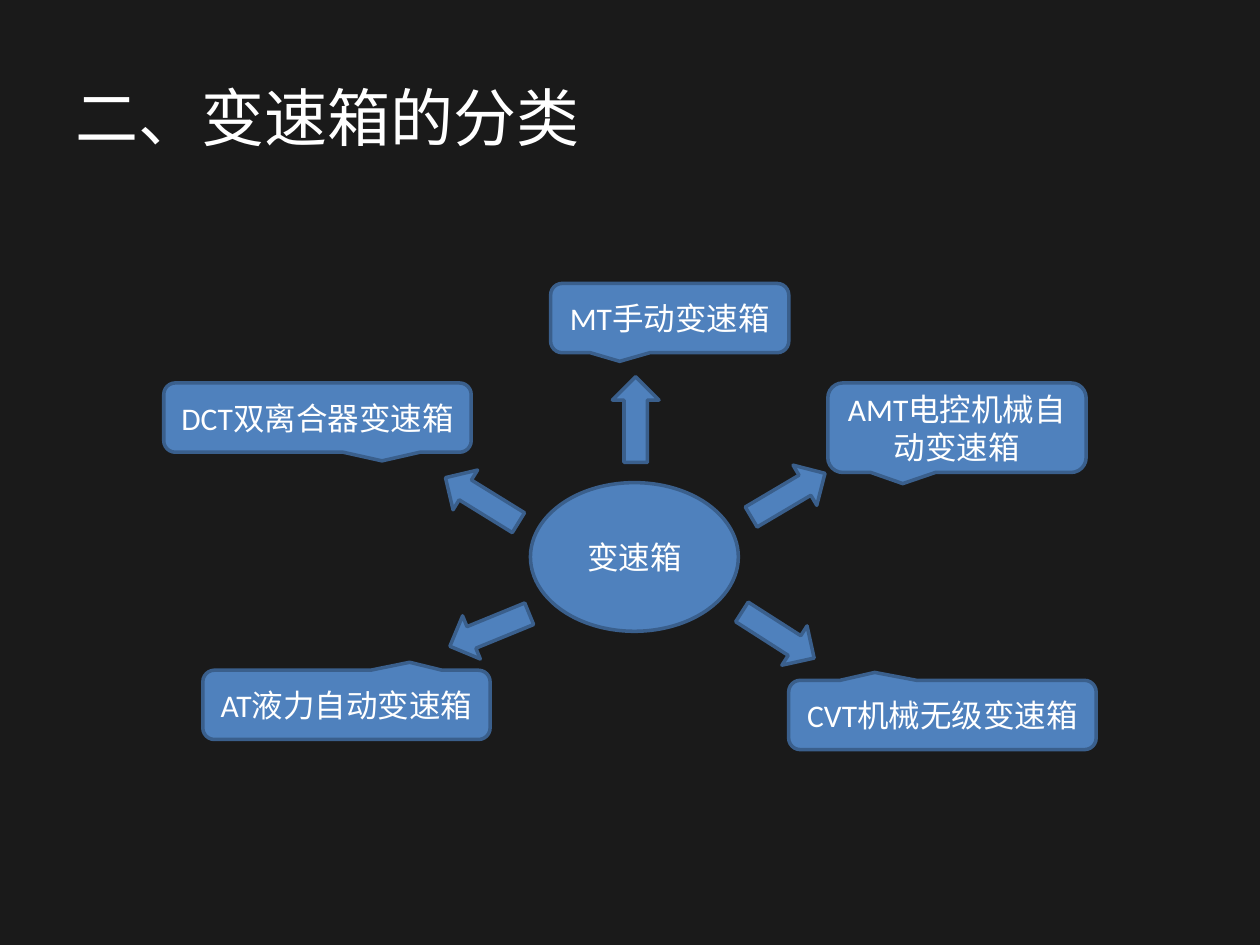
from dataclasses import dataclass
from pptx import Presentation
from pptx.dml.color import RGBColor
from pptx.enum.shapes import MSO_SHAPE
from pptx.enum.text import MSO_ANCHOR, PP_ALIGN
from pptx.util import Inches, Pt


@dataclass(frozen=True)
class Theme:
    back: RGBColor = RGBColor(0x1A, 0x1A, 0x1A)
    fill: RGBColor = RGBColor(0x4F, 0x81, 0xBD)
    line: RGBColor = RGBColor(0x3A, 0x5F, 0x8C)
    text: RGBColor = RGBColor(0xFF, 0xFF, 0xFF)
    font: str = "Calibri"
    title_size: int = 36
    body_size: int = 18
    line_width: int = 2


THEME = Theme()

# Boxes are left, top, width, height in percent of the slide.
TITLE = ("二、变速箱的分类", (5, 4, 90, 16.67))
HUB = ("变速箱", (42.1, 51.07, 16.5, 15.73))
BELOW, ABOVE = (0.21, 0.625), (0.22, -0.615)
LEFT, RIGHT = -1, 1
# Text, box, pointer edge, pointer side, arrow centre, arrow rotation.
TYPES = [
    ("MT手动变速箱", (43.7, 30, 18.9, 7.33), BELOW, LEFT, (50.45, 44.4), 180),
    ("AMT电控机械自动变速箱", (65.7, 40.53, 20.5, 9.47), BELOW, LEFT, (62.55, 52.4), 239.4),
    ("CVT机械无级变速箱", (62.6, 72, 24.4, 7.33), ABOVE, LEFT, (61.75, 67.2), 302.6),
    ("AT液力自动变速箱", (16.1, 70.93, 22.8, 7.33), ABOVE, RIGHT, (38.85, 66.67), 67.7),
    ("DCT双离合器变速箱", (13, 40.53, 24.4, 7.33), BELOW, RIGHT, (38.25, 52.93), 121.7),
]
ARROW_W, ARROW_H = 3.7, 9.07

prs = Presentation()
prs.slide_width, prs.slide_height = Inches(10), Inches(7.5)


def to_emu(box):
    sides = (prs.slide_width, prs.slide_height) * 2
    return [round(share * side / 100) for share, side in zip(box, sides)]


def set_text(s, text, size, align):
    tf = s.text_frame
    tf.word_wrap = True
    tf.vertical_anchor = MSO_ANCHOR.MIDDLE
    p = tf.paragraphs[0]
    p.text = text
    p.alignment = align
    p.font.name, p.font.size = THEME.font, Pt(size)
    p.font.color.rgb = THEME.text


def add_block(slide, kind, box, text=None):
    s = slide.shapes.add_shape(kind, *to_emu(box))
    s.shadow.inherit = False
    s.fill.solid()
    s.fill.fore_color.rgb = THEME.fill
    s.line.color.rgb = THEME.line
    s.line.width = Pt(THEME.line_width)
    if text:
        set_text(s, text, THEME.body_size, PP_ALIGN.CENTER)
    return s


def main():
    slide = prs.slides.add_slide(prs.slide_layouts[5])
    slide.background.fill.solid()
    slide.background.fill.fore_color.rgb = THEME.back

    text, box = TITLE
    title = slide.shapes.title
    title.left, title.top, title.width, title.height = to_emu(box)
    set_text(title, text, THEME.title_size, PP_ALIGN.LEFT)

    text, box = HUB
    add_block(slide, MSO_SHAPE.OVAL, box, text)
    for text, box, (dx, dy), side, (x, y), angle in TYPES:
        callout = add_block(slide, MSO_SHAPE.ROUNDED_RECTANGULAR_CALLOUT, box, text)
        callout.adjustments[0] = side * dx
        callout.adjustments[1] = dy
        arrow_box = (x - ARROW_W / 2, y - ARROW_H / 2, ARROW_W, ARROW_H)
        add_block(slide, MSO_SHAPE.DOWN_ARROW, arrow_box).rotation = angle
    prs.save("out.pptx")


if __name__ == "__main__":
    main()
